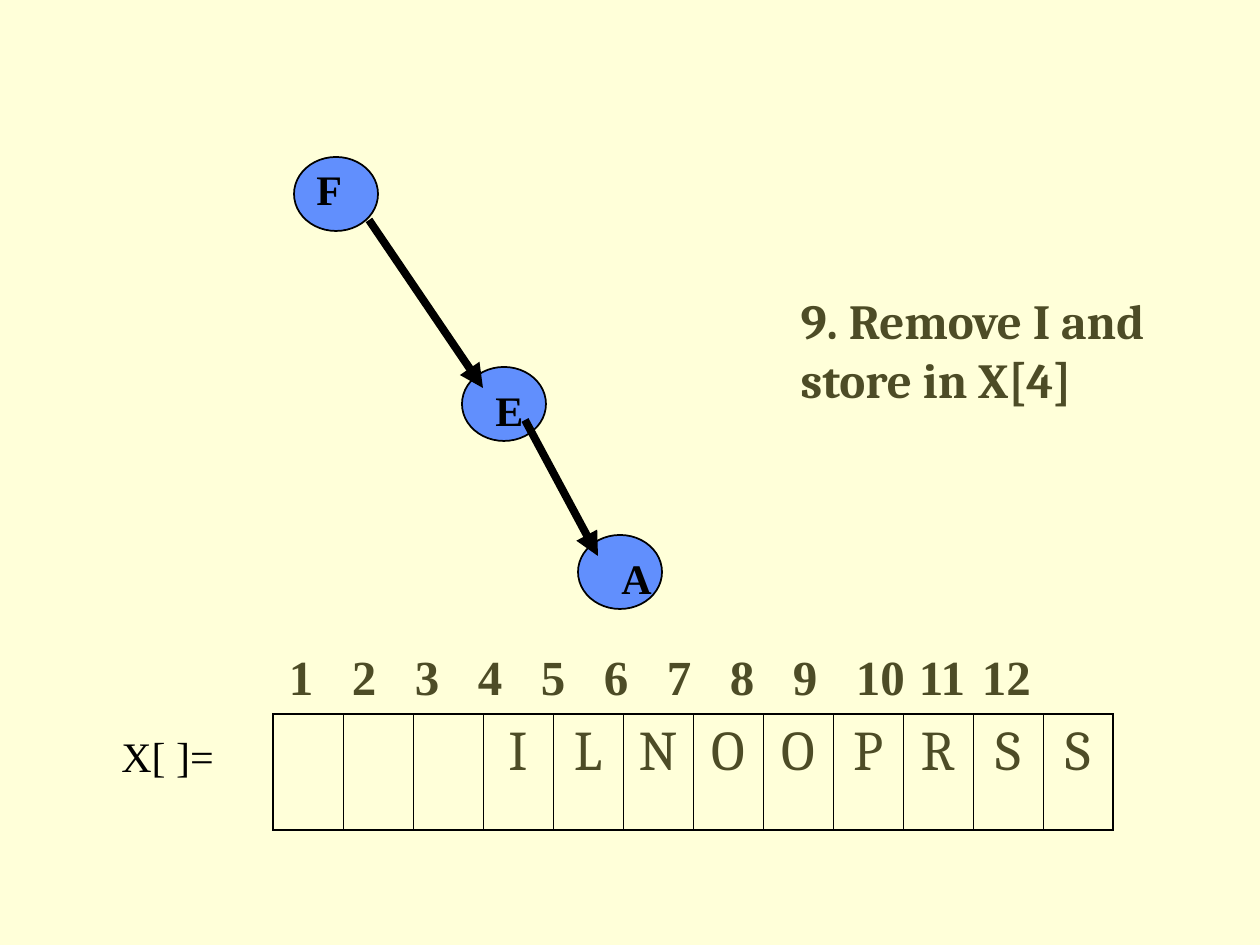
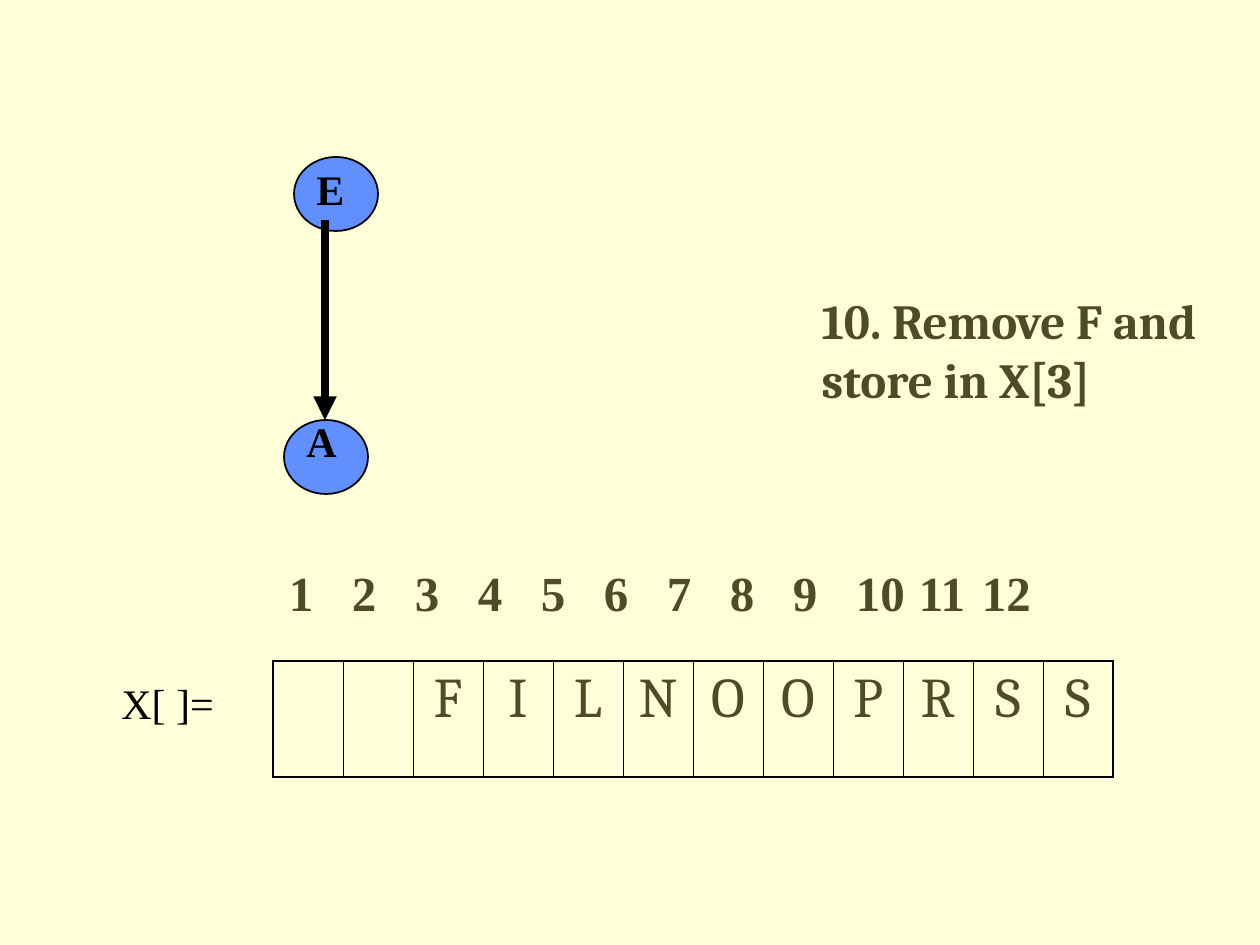
from lxml.etree import SubElement as Sub
from pptx import Presentation
from pptx.dml.color import RGBColor as Rgb
from pptx.enum.shapes import MSO_CONNECTOR as Link, MSO_SHAPE as Kind
from pptx.enum.text import MSO_ANCHOR as Anchor, MSO_AUTO_SIZE as Fit, PP_ALIGN as Align
from pptx.oxml.ns import qn
from pptx.util import Emu, Pt

SCALE = 914400 / 126
HUES = {"page": "FFFFD9", "node": "618FFD", "ink": "000000", "text": "4D4C26"}
SERIF, BODY = "Times New Roman", "Cambria"
COLS, CELL, HIGH = 12, 70, 116
STOPS = [61, 135, 208, 282, 343, 404, 490, 551, 612, 686, 756]

# nodes: letter, circle left and top, label left and top
STEPS = [
    {"head": "9. Remove I and store in X[4]", "left": 788,
     "nodes": [("F", 294, 157, 304, 157), ("E", 462, 367, 483, 378),
               ("A", 578, 535, 609, 546)],
     "arrows": [(369, 220, 483, 388), (525, 420, 598, 556)],
     "index": 640, "array": 714, "sorted": "ILNOOPRSS"},
    {"head": "10. Remove F and store in X[3]", "left": 809,
     "nodes": [("E", 294, 157, 304, 157), ("A", 284, 420, 294, 409)],
     "arrows": [(325, 220, 325, 420)],
     "index": 556, "array": 661, "sorted": "FILNOOPRSS"},
]


def px(*nums):
    return [Emu(round(n * SCALE)) for n in nums]


def write(shape, text, size, hue, face=SERIF, bold=True):
    """Fill a text shape with one left-aligned paragraph and return it."""
    frame = shape.text_frame
    frame.word_wrap, frame.auto_size = True, Fit.NONE
    frame.vertical_anchor = Anchor.TOP
    frame.text = text
    para = frame.paragraphs[0]
    para.alignment = Align.LEFT
    font = para.font
    font.name, font.size, font.bold = face, Pt(size), bold
    font.color.rgb = Rgb.from_string(HUES[hue])
    return para


deck = Presentation()
deck.slide_width, deck.slide_height = px(1260, 945)
back = deck.slide_master.background.fill
back.solid()
back.fore_color.rgb = Rgb.from_string(HUES["page"])

for step in STEPS:
    slide = deck.slides.add_slide(deck.slide_layouts[5])
    shapes = slide.shapes
    title = shapes.title
    title.left, title.top, title.width, title.height = px(step["left"], 284, 420, 131)
    write(title, step["head"], 28, "text", BODY)

    # Tree
    for _, x, y, _, _ in step["nodes"]:
        node = shapes.add_shape(Kind.OVAL, *px(x, y, 84, 74))
        node.shadow.inherit = False
        node.fill.solid()
        node.fill.fore_color.rgb = Rgb.from_string(HUES["node"])
        node.line.color.rgb = Rgb.from_string(HUES["ink"])
        node.line.width = Pt(1)
    for name, _, _, x, y in step["nodes"]:
        write(shapes.add_textbox(*px(x, y, 53, 63)), name, 24, "ink")
    for ends in step["arrows"]:
        arrow = shapes.add_connector(Link.STRAIGHT, *px(*ends))
        arrow.line.color.rgb = Rgb.from_string(HUES["ink"])
        arrow.line.width = Pt(4.5)
        props = arrow.element.spPr
        Sub(props.find(qn("a:ln")), qn("a:tailEnd"), type="triangle")
        Sub(props, qn("a:effectLst"))

    # Index numbers above the array
    row = shapes.add_textbox(*px(252, step["index"], 872, 72))
    row.text_frame.margin_left = px(37)[0]
    para = row.text_frame.paragraphs[0]
    tabs = Sub(para._p.get_or_add_pPr(), qn("a:tabLst"))
    for stop in px(*STOPS):
        Sub(tabs, qn("a:tab"), pos=str(stop), algn="l")
    write(row, "\t".join(str(n + 1) for n in range(COLS)), 28, "text")

    # Array
    top = step["array"]
    grid = shapes.add_table(1, COLS, *px(273, top, COLS * CELL, HIGH)).table
    grid.first_row = grid.horz_banding = False
    grid.rows[0].height = px(HIGH)[0]
    gap = COLS - len(step["sorted"])
    for i, cell in enumerate(grid.iter_cells()):
        grid.columns[i].width = px(CELL)[0]
        edges = {"lnL": i == 0, "lnR": i == COLS - 1, "lnT": True, "lnB": True}
        for tag, outer in edges.items():
            width = Pt(1.08 if outer else 0.45)
            line = Sub(cell._tc.get_or_add_tcPr(), qn("a:" + tag), w=str(width))
            Sub(Sub(line, qn("a:solidFill")), qn("a:srgbClr"), val=HUES["ink"])
        cell.fill.background()
        if i >= gap:
            para = cell.text_frame.paragraphs[0]
            para.text = step["sorted"][i - gap]
            para.alignment = Align.CENTER
            para.font.name, para.font.size = BODY, Pt(32)
            para.font.color.rgb = Rgb.from_string(HUES["text"])
    write(shapes.add_textbox(*px(109, top + 10, 199, 63)), "X[ ]=", 24, "ink", bold=False)

deck.save("out.pptx")
